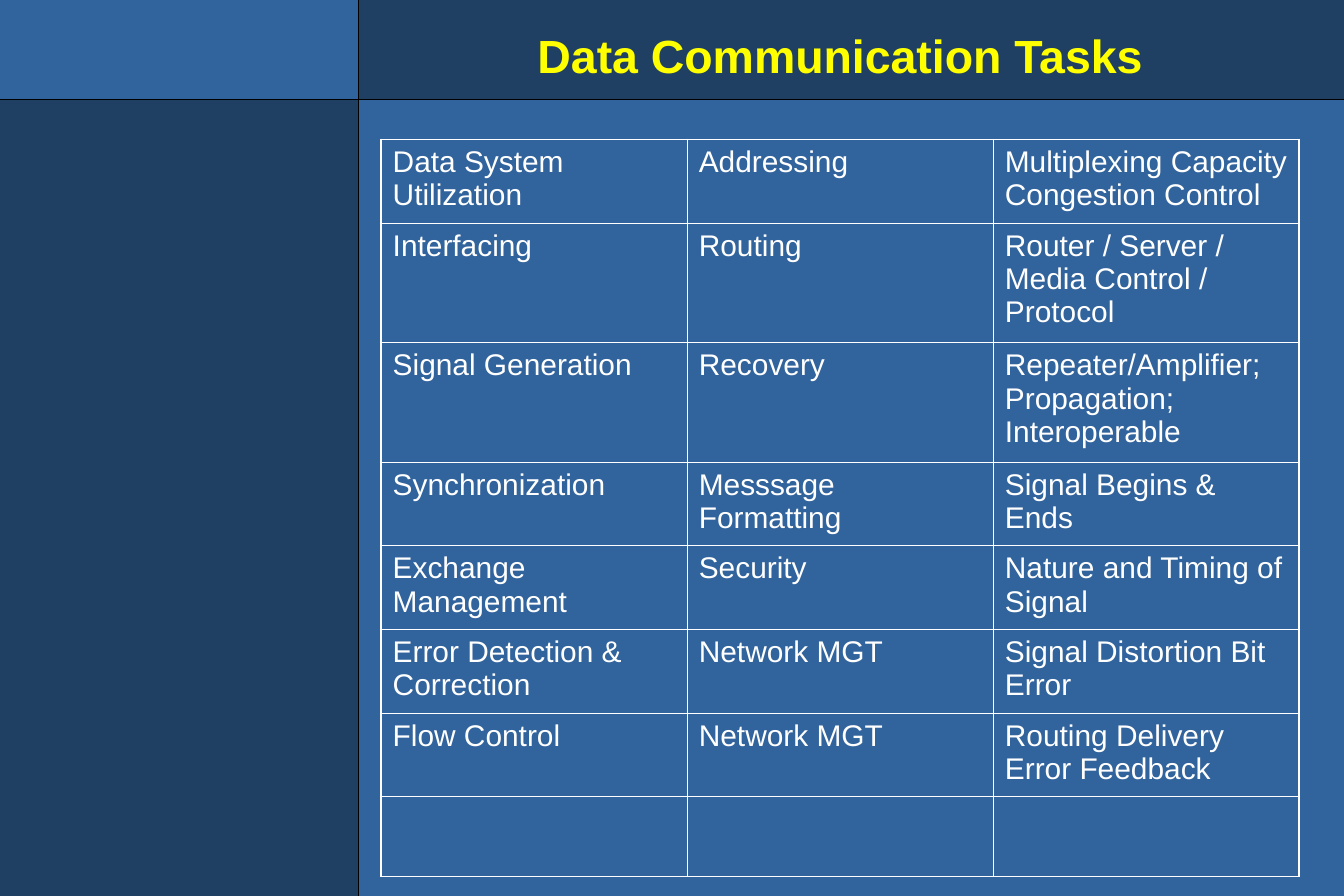
from lxml import etree
from pptx import Presentation
from pptx.dml.color import RGBColor
from pptx.enum.shapes import MSO_CONNECTOR, MSO_SHAPE
from pptx.enum.text import MSO_ANCHOR, PP_ALIGN
from pptx.oxml.ns import qn
from pptx.util import Emu, Pt

RECT = MSO_SHAPE.RECTANGLE
STRAIGHT = MSO_CONNECTOR.STRAIGHT
MIDDLE = MSO_ANCHOR.MIDDLE
CENTER = PP_ALIGN.CENTER

EMU_PER_PX = 9525
WIDTH, HEIGHT = 1080, 720
SIDE_W, HEAD_H = 288, 80
FONT = "Arial"
BLUE, NAVY, BLACK, WHITE, YELLOW = "31639C", "1F3F63", "000000", "FFFFFF", "FFFF00"
THIN, THICK = 0.45, 1.08

TASKS = [
    ("Data System Utilization", "Addressing", "Multiplexing Capacity Congestion Control"),
    ("Interfacing", "Routing", "Router / Server / Media Control / Protocol"),
    ("Signal Generation", "Recovery", "Repeater/Amplifier; Propagation; Interoperable"),
    ("Synchronization", "Messsage Formatting", "Signal Begins & Ends"),
    ("Exchange Management", "Security", "Nature and Timing of Signal"),
    ("Error Detection & Correction", "Network MGT", "Signal Distortion Bit Error"),
    ("Flow Control", "Network MGT", "Routing Delivery Error Feedback"),
    ("", "", ""),
]
ROW_HEIGHTS = [67, 96, 96, 67, 67, 67, 67, 64]


def px(n):
    """Turn pixels into EMU."""
    return Emu(int(n * EMU_PER_PX))


def rgb(color):
    """Turn a hex string into a colour."""
    return RGBColor.from_string(color)


def add_run(p, text, size, color, bold=False):
    """Add one styled run to a paragraph."""
    r = p.add_run()
    r.text = text
    r.font.name = FONT
    r.font.size = Pt(size)
    r.font.bold = bold
    r.font.color.rgb = rgb(color)


def add_panel(s, x, y, w, h, color):
    """Add a plain filled rectangle."""
    sp = s.shapes.add_shape(RECT, px(x), px(y), px(w), px(h))
    sp.shadow.inherit = False
    sp.fill.solid()
    sp.fill.fore_color.rgb = rgb(color)
    sp.line.fill.background()


def add_rule(s, x1, y1, x2, y2):
    """Add a thin black line."""
    line = s.shapes.add_connector(STRAIGHT, px(x1), px(y1), px(x2), px(y2))
    line.line.color.rgb = rgb(BLACK)
    line.line.width = Pt(1)
    etree.SubElement(line._element.spPr, qn("a:effectLst"))


def add_frame(s, x, y, w, h):
    """Draw the header band, side band, corner and dividing lines."""
    add_panel(s, x, y, w, HEAD_H, NAVY)
    add_panel(s, x, y, SIDE_W, h, NAVY)
    add_panel(s, x, y, SIDE_W, HEAD_H, BLUE)
    add_rule(s, x + SIDE_W, y, x + SIDE_W, y + h)
    add_rule(s, x + w, y + HEAD_H, x, y + HEAD_H)


def add_title(s, x, y, w, h, text):
    """Add the centred slide title."""
    tf = s.shapes.add_textbox(px(x), px(y), px(w), px(h)).text_frame
    tf.word_wrap = True
    tf.vertical_anchor = MIDDLE
    p = tf.paragraphs[0]
    p.alignment = CENTER
    add_run(p, text, 28, YELLOW, bold=True)


def set_borders(cell, widths):
    """Give a cell white borders with the width of each side."""
    tcPr = cell._tc.get_or_add_tcPr()
    for side in "LRTB":
        ln = etree.SubElement(tcPr, qn(f"a:ln{side}"), w=str(int(Pt(widths[side]))))
        fill = etree.SubElement(ln, qn("a:solidFill"))
        etree.SubElement(fill, qn("a:srgbClr"), val=WHITE)


def add_task_table(s, x, y, w, rows, heights):
    """Add the task grid with a thicker outer border."""
    n_rows, n_cols = len(rows), len(rows[0])
    frame = s.shapes.add_table(n_rows, n_cols, px(x), px(y), px(w), px(sum(heights)))
    table = frame.table
    table.first_row = False
    table.horz_banding = False
    for col in table.columns:
        col.width = px(w / n_cols)
    for i, (texts, height) in enumerate(zip(rows, heights)):
        table.rows[i].height = px(height)
        for j, text in enumerate(texts):
            cell = table.cell(i, j)
            outer = {"L": j == 0, "R": j == n_cols - 1, "T": i == 0, "B": i == n_rows - 1}
            set_borders(cell, {side: THICK if edge else THIN for side, edge in outer.items()})
            cell.fill.background()
            if text:
                p = cell.text_frame.paragraphs[0]
                p.space_before = Pt(4.5)
                add_run(p, text, 18, WHITE)


def main():
    """Build the slide and save it."""
    prs = Presentation()
    prs.slide_width, prs.slide_height = px(WIDTH), px(HEIGHT)
    s = prs.slides.add_slide(prs.slide_layouts[6])
    s.background.fill.solid()
    s.background.fill.fore_color.rgb = rgb(BLUE)
    add_frame(s, 0, 0, WIDTH, HEIGHT)
    add_title(s, 306, 16, 738, 56, "Data Communication Tasks")
    add_task_table(s, 306, 112, 738, TASKS, ROW_HEIGHTS)
    prs.save("out.pptx")


if __name__ == "__main__":
    main()
